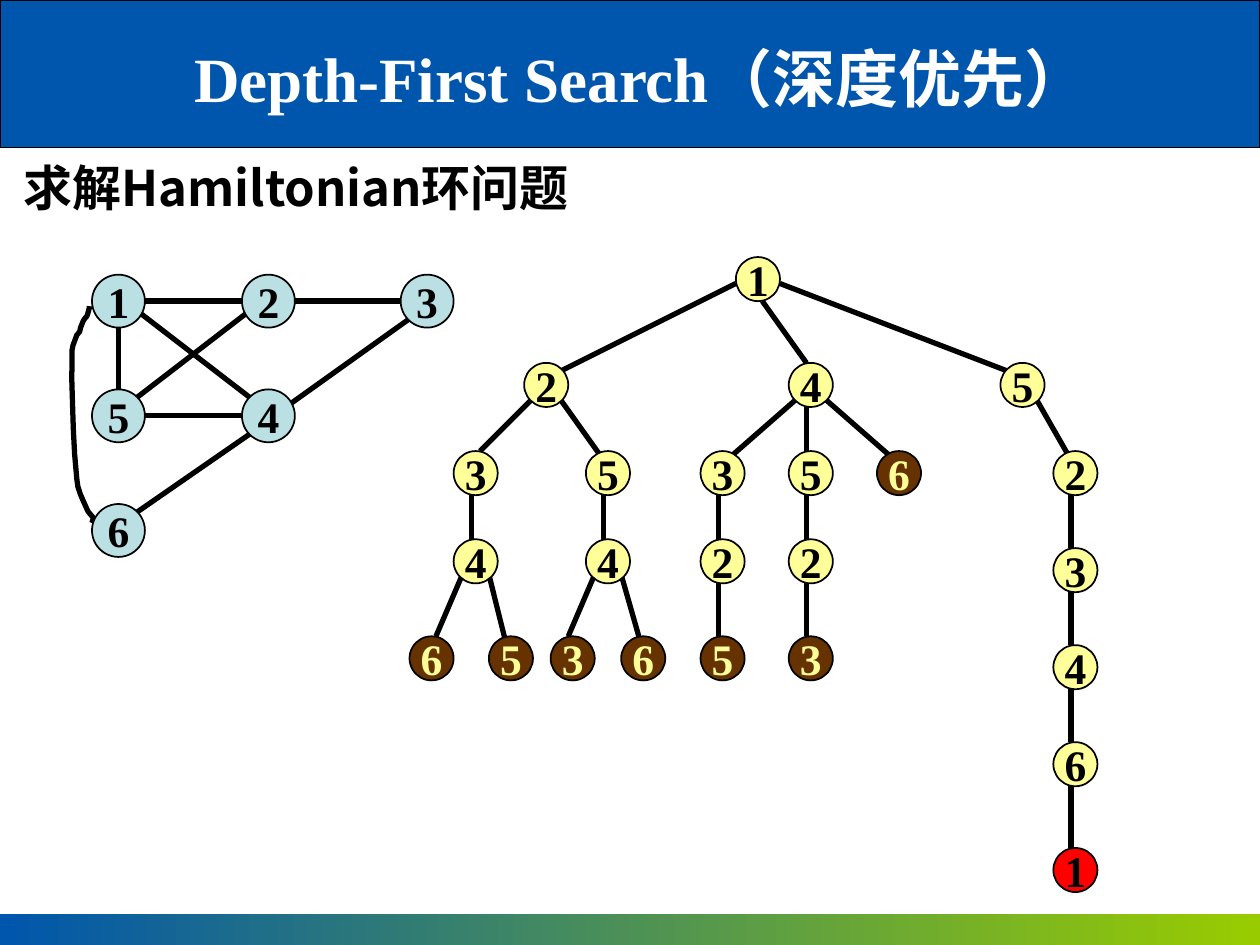
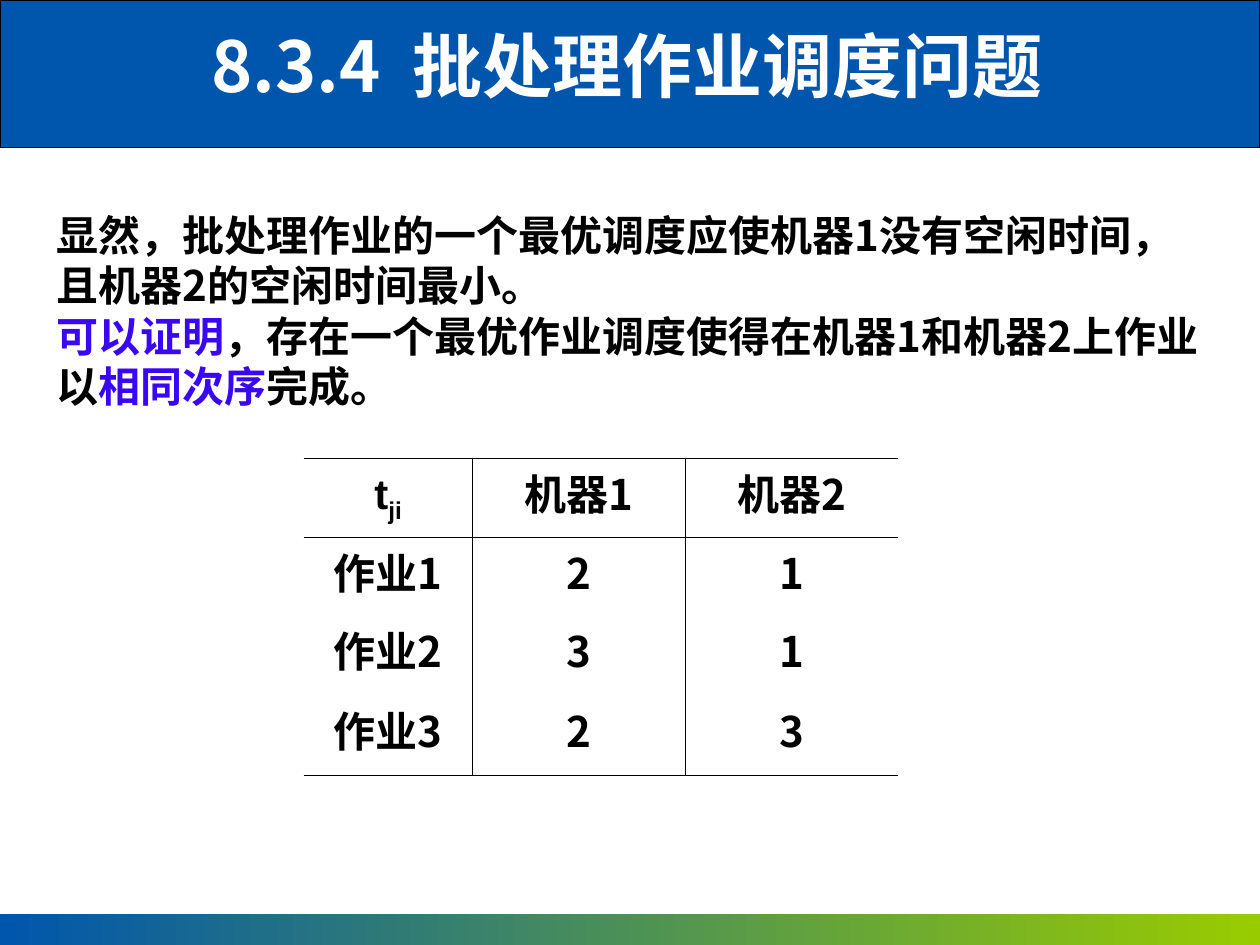
import lxml.etree
import pptx
import pptx.dml.color
import pptx.enum.shapes
import pptx.enum.text
import pptx.oxml.ns
import pptx.util

RGB = pptx.dml.color.RGBColor
SHAPE = pptx.enum.shapes.MSO_SHAPE
ALIGN = pptx.enum.text.PP_ALIGN
ANCHOR = pptx.enum.text.MSO_ANCHOR
Pt = pptx.util.Pt
qn = pptx.oxml.ns.qn

WIDTH, HEIGHT = pptx.util.Inches(10), pptx.util.Inches(7.5)
UNIT = pptx.util.Inches(0.07)

BLUE = RGB(0x00, 0x56, 0xAC)
GREEN = RGB(0x99, 0xCC, 0x00)
BLACK = RGB(0, 0, 0)
WHITE = RGB(0xFF, 0xFF, 0xFF)
VIOLET = RGB(0x39, 0x07, 0xF1)
PALE_BLUE = RGB(0xBB, 0xE0, 0xE3)
YELLOW = RGB(0xFF, 0xFF, 0x99)
BROWN = RGB(0x66, 0x33, 0x00)
RED = RGB(0xFF, 0, 0)

SERIF, SANS, CJK = "Times New Roman", "Arial", "Noto Sans CJK SC"

GRAPH_ORIGIN = (0.73, 2.18)
GRAPH_NODES = [("1", 0, 0), ("2", 17, 0), ("3", 35, 0),
               ("5", 0, 13), ("4", 17, 13), ("6", 0, 26)]
GRAPH_EDGES = [(6, 3, 17, 3), (23, 3, 35, 3), (3, 6, 3, 13), (6, 16, 17, 16),
               (5, 4, 18, 14), (5, 14, 18, 4), (36, 5, 22, 15), (18, 18, 5, 27)]
LOOP_START = (0.71, 2.43)
LOOP_CURVES = [
    ((0.71, 2.45), (0.7, 2.48), (0.69, 2.51)),
    ((0.68, 2.52), (0.67, 2.53), (0.66, 2.55)),
    ((0.61, 2.66), (0.66, 2.6), (0.61, 2.66)),
    ((0.55, 2.82), (0.58, 2.71), (0.57, 3.01)),
    ((0.58, 3.27), (0.58, 3.54), (0.61, 3.8)),
    ((0.61, 3.88), (0.66, 3.97), (0.69, 4.04)),
    ((0.7, 4.07), (0.73, 4.09), (0.74, 4.11)),
    ((0.74, 4.12), (0.73, 4.15), (0.73, 4.15)),
]

TREE_ORIGIN = (3.25, 2.04)
OPEN_NODES = [("1", 37, 0), ("2", 13, 12), ("4", 43, 12), ("5", 67, 12),
              ("3", 5, 22), ("5", 20, 22), ("3", 33, 22), ("5", 43, 22),
              ("2", 73, 22), ("4", 5, 32), ("4", 20, 32), ("2", 33, 32),
              ("2", 43, 32), ("3", 73, 33), ("4", 73, 44), ("6", 73, 55)]
DEAD_NODES = [("6", 53, 22), ("6", 0, 43), ("5", 9, 43), ("3", 16, 43),
              ("6", 24, 43), ("5", 33, 43), ("3", 43, 43)]
GOAL_NODES = [("1", 73, 67)]
TREE_EDGES = [(37, 3, 17, 13), (40, 5, 45, 12), (42, 3, 68, 13),
              (14, 16, 8, 22), (17, 16, 22, 23), (7, 27, 7, 32),
              (6, 36, 3, 43), (9, 36, 11, 44), (22, 27, 22, 33),
              (21, 36, 18, 43), (24, 36, 26, 43), (44, 16, 36, 23),
              (45, 17, 45, 23), (47, 16, 55, 23), (71, 16, 75, 23),
              (35, 27, 35, 33), (35, 37, 35, 43), (45, 27, 45, 33),
              (45, 37, 45, 43), (75, 27, 75, 33), (75, 38, 75, 44),
              (75, 49, 75, 55), (75, 60, 75, 67)]

TIMES = [("作业1", "2", "1"), ("作业2", "3", "1"), ("作业3", "2", "3")]


def share(x, y, w, h):
    """Turn shares of the slide's size into lengths."""
    return [round(v) for v in (x * WIDTH, y * HEIGHT, w * WIDTH, h * HEIGHT)]


def add_run(p, text, size, color=BLACK, font=CJK):
    """Add one bold run to a paragraph."""
    r = p.add_run()
    r.text = text
    r.font.size, r.font.bold, r.font.name = Pt(size), True, font
    r.font.color.rgb = color
    ea = lxml.etree.SubElement(r._r.get_or_add_rPr(), qn("a:ea"))
    ea.set("typeface", CJK)
    if font == CJK:
        p.line_spacing = Pt(1.2 * size)
    return r


def add_box(s, box, paragraphs, size, align=ALIGN.LEFT, anchor=ANCHOR.TOP, font=CJK):
    """Add a wrapped text box; each paragraph is a list of (text, colour)."""
    tf = s.shapes.add_textbox(*share(*box)).text_frame
    tf.word_wrap, tf.vertical_anchor = True, anchor
    for i, runs in enumerate(paragraphs):
        p = tf.add_paragraph() if i else tf.paragraphs[0]
        p.alignment = align
        for text, color in runs:
            add_run(p, text, size, color, font)


def add_title(s, box, text, size, font):
    """Add the white centred title."""
    add_box(s, box, [[(text, WHITE)]], size, ALIGN.CENTER, ANCHOR.MIDDLE, font)


def add_band(s, box):
    """Add a blue band without outline."""
    sp = s.shapes.add_shape(SHAPE.RECTANGLE, *share(*box))
    sp.shadow.inherit = False
    sp.fill.solid()
    sp.fill.fore_color.rgb = BLUE
    sp.line.fill.background()
    return sp


def add_slide(prs):
    """Add a slide with the title band and the gradient footer."""
    s = prs.slides.add_slide(prs.slide_layouts[6])
    header = add_band(s, (0, 0, 1, 0.156))
    header.line.color.rgb, header.line.width = BLACK, Pt(0.75)
    footer = add_band(s, (0, 0.967, 1, 0.033))
    footer.fill.gradient()
    footer.fill.gradient_angle = 0
    for stop, color in zip(footer.fill.gradient_stops, (BLUE, GREEN)):
        stop.color.rgb = color
    return s


def grid_point(origin, col, row):
    """Give the position of a grid column and row."""
    x, y = origin
    return pptx.util.Inches(x) + col * UNIT, pptx.util.Inches(y) + row * UNIT


def add_edges(s, origin, edges):
    """Draw edges between grid points."""
    for x1, y1, x2, y2 in edges:
        sp = s.shapes.add_connector(
            pptx.enum.shapes.MSO_CONNECTOR.STRAIGHT,
            *grid_point(origin, x1, y1), *grid_point(origin, x2, y2))
        sp.line.color.rgb, sp.line.width = BLACK, Pt(3)
        lxml.etree.SubElement(sp._element.spPr, qn("a:effectLst"))


def add_nodes(s, origin, nodes, units, fill, color=BLACK):
    """Draw labelled circles on a grid."""
    for label, col, row in nodes:
        sp = s.shapes.add_shape(SHAPE.OVAL, *grid_point(origin, col, row),
                                units * UNIT, units * UNIT)
        sp.shadow.inherit = False
        sp.fill.solid()
        sp.fill.fore_color.rgb = fill
        sp.line.color.rgb, sp.line.width = BLACK, Pt(1)
        tf = sp.text_frame
        tf.word_wrap, tf.vertical_anchor = False, ANCHOR.MIDDLE
        p = tf.paragraphs[0]
        p.alignment = ALIGN.CENTER
        add_run(p, label, 24.9, color, SERIF)


def bezier(points, t):
    """Give the point at t on a cubic curve."""
    weights = ((1 - t) ** 3, 3 * t * (1 - t) ** 2, 3 * t * t * (1 - t), t ** 3)
    return tuple(sum(w * pt[i] for w, pt in zip(weights, points)) for i in (0, 1))


def add_loop(s, start, curves, steps=4):
    """Draw the curved edge between nodes 1 and 6."""
    points, here = [start], start
    for curve in curves:
        points += [bezier((here, *curve), i / steps) for i in range(1, steps + 1)]
        here = curve[-1]
    points = [tuple(pptx.util.Inches(v) for v in point) for point in points]
    builder = s.shapes.build_freeform(*points[0], scale=1.0)
    builder.add_line_segments(points[1:], close=False)
    sp = builder.convert_to_shape()
    sp.shadow.inherit = False
    sp.fill.background()
    sp.line.color.rgb, sp.line.width = BLACK, Pt(3)


def set_borders(cell, shown):
    """Draw the shown sides of a cell in black and hide the others."""
    tcPr = cell._tc.get_or_add_tcPr()
    for side in "LRTB":
        ln = lxml.etree.SubElement(tcPr, qn("a:ln" + side), w=str(Pt(1)))
        if side in shown:
            fill = lxml.etree.SubElement(ln, qn("a:solidFill"))
            lxml.etree.SubElement(fill, qn("a:srgbClr"), val=str(BLACK))
        else:
            lxml.etree.SubElement(ln, qn("a:noFill"))


def add_times_table(s):
    """Add the table of job times per machine."""
    rows = [("t", "机器1", "机器2"), *TIMES]
    table = s.shapes.add_table(len(rows), 3, *share(0.241, 0.485, 0.472, 0.336)).table
    table.first_row = table.horz_banding = False
    for column, width in zip(table.columns, (1.34, 1.69, 1.69)):
        column.width = pptx.util.Inches(width)
    for row, height in zip(table.rows, (0.63, 0.62, 0.62, 0.65)):
        row.height = pptx.util.Inches(height)
    for i, texts in enumerate(rows):
        for j, text in enumerate(texts):
            cell = table.cell(i, j)
            sides = ("L" if j else "") + ("R" if j < 2 else "")
            sides += {0: "TB", 1: "T", 3: "B"}.get(i, "")
            set_borders(cell, sides)
            cell.fill.background()
            cell.vertical_anchor = ANCHOR.MIDDLE
            p = cell.text_frame.paragraphs[0]
            p.alignment = ALIGN.CENTER
            add_run(p, text, 24, font=CJK if i or j else SANS)
    r = add_run(table.cell(0, 0).text_frame.paragraphs[0], "ji", 24, font=SANS)
    r._r.get_or_add_rPr().set("baseline", "-25000")


def add_search_slide(prs):
    """Build the slide on depth-first search."""
    s = add_slide(prs)
    add_box(s, (0.009, 0.16, 0.568, 0.087), [[("求解Hamiltonian环问题", BLACK)]], 28)
    add_edges(s, GRAPH_ORIGIN, GRAPH_EDGES)
    add_loop(s, LOOP_START, LOOP_CURVES)
    add_nodes(s, GRAPH_ORIGIN, GRAPH_NODES, 6, PALE_BLUE)
    add_edges(s, TREE_ORIGIN, TREE_EDGES)
    add_nodes(s, TREE_ORIGIN, OPEN_NODES, 5, YELLOW)
    add_nodes(s, TREE_ORIGIN, DEAD_NODES, 5, BROWN, YELLOW)
    add_nodes(s, TREE_ORIGIN, GOAL_NODES, 5, RED)
    add_title(s, (0.105, 0.04, 0.807, 0.083), "Depth-First Search（深度优先）", 36, SERIF)


def add_scheduling_slide(prs):
    """Build the slide on batch job scheduling."""
    s = add_slide(prs)
    add_times_table(s)
    add_box(s, (0.035, 0.215, 0.939, 0.229), [
        [("显然，批处理作业的一个最优调度应使机器1没有空闲时间，且机器2的空闲时间最小。", BLACK)],
        [("可以证明", VIOLET),
         ("，存在一个最优作业调度使得在机器1和机器2上作业以", BLACK),
         ("相同次序", VIOLET), ("完成。", BLACK)],
    ], 24)
    add_title(s, (0.135, 0.017, 0.725, 0.103), "8.3.4  批处理作业调度问题", 40, CJK)


def main():
    """Build and save the presentation."""
    prs = pptx.Presentation()
    prs.slide_width, prs.slide_height = WIDTH, HEIGHT
    add_search_slide(prs)
    add_scheduling_slide(prs)
    prs.save("out.pptx")


if __name__ == "__main__":
    main()
